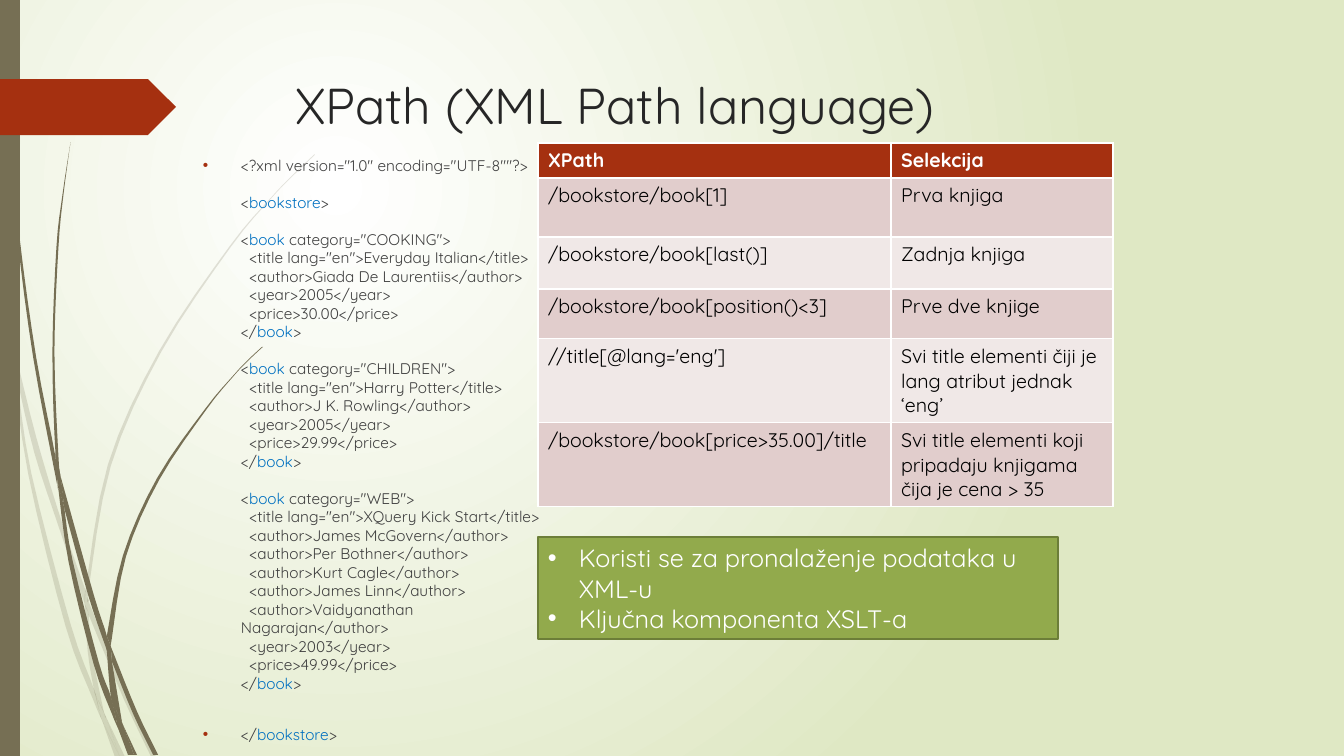
import copy
import pptx
import pptx.dml.color
import pptx.enum.shapes
import pptx.enum.text
import pptx.oxml
import pptx.oxml.ns
import pptx.util
from lxml import etree

PX = 12192000 / 1344  # EMU in one px
FONT = "Quicksand"
OLIVE, RUST, INK, BLUE, WHITE = "766F54", "A53010", "404040", "0070C0", "FFFFFF"
qn = pptx.oxml.ns.qn


def rgb(color):
    return pptx.dml.color.RGBColor.from_string(color)


def add_text(p, text, size=11, color=INK, bold=False):
    r = p.add_run()
    r.text = text
    r.font.name, r.font.size, r.font.bold = FONT, pptx.util.Pt(size), bold
    r.font.color.rgb = rgb(color)


prs = pptx.Presentation()
prs.slide_width, prs.slide_height = round(1344 * PX), round(756 * PX)
s = prs.slides.add_slide(prs.slide_layouts[5])

# Background: round gradient
fill = s.background.fill
fill.gradient()
for stop, color, position in zip(fill.gradient_stops, (WHITE, "DFE8C4"), (0, 1)):
    stop.color.rgb = rgb(color)
    stop.position = position
lin = s.background._cSld.find(".//" + qn("a:lin"))
circle = etree.Element(qn("a:path"), path="circle")
etree.SubElement(circle, qn("a:fillToRect"), l="50000", t="50000", r="100000", b="100000")
lin.getparent().replace(lin, circle)

# Grass: two smooth edges of each piece, in hundredths of an inch
GRASS = 1.008 * PX
pale = [
    ([(0, 282), (9, 322), (11, 350)], [(0, 299), (10, 344), (11, 350)]),
    ([(14, 345), (36, 434), (62, 520), (85, 586)], [(17, 376), (34, 449), (58, 522), (84, 599)]),
    ([(88, 596), (92, 607), (127, 692), (155, 751)], [(88, 610), (123, 694), (150, 751)]),
    ([(105, 711), (124, 751)], [(105, 711), (119, 751)]),
    ([(11, 350), (28, 470), (65, 621), (92, 693), (101, 714)],
     [(17, 376), (31, 469), (70, 619), (93, 683), (99, 707), (101, 714)]),
    ([(84, 599), (87, 646), (93, 683), (96, 692), (105, 711)],
     [(88, 608), (91, 646), (103, 706), (105, 711)]),
    ([(312, 153), (289, 175), (268, 197), (228, 244), (158, 348), (107, 461), (85, 584), (85, 586)],
     [(312, 154), (290, 175), (268, 198), (229, 245), (160, 349), (110, 462), (88, 584), (88, 596)]),
    ([(101, 714), (114, 751)], [(101, 714), (119, 751)]),
    ([(85, 586), (84, 599), (88, 608)], [(88, 596), (88, 610)]),
    ([(93, 683), (99, 707), (101, 714), (119, 751)], [(96, 692), (105, 711), (119, 751)]),
]
dark = [
    ([(3, 0), (4, 48), (7, 110), (17, 233), (33, 355), (56, 477), (57, 481)],
     [(4, 0), (5, 48), (8, 109), (19, 232), (36, 355), (55, 453), (57, 481)]),
    ([(60, 472), (93, 590), (106, 631), (106, 645)], [(64, 505), (88, 592), (106, 645)]),
    ([(110, 641), (113, 649), (136, 706), (157, 749)], [(111, 656), (132, 708), (152, 749)]),
    ([(57, 477), (68, 557), (93, 659), (111, 708), (117, 722)],
     [(64, 505), (72, 556), (98, 657), (110, 691), (117, 722)]),
    ([(70, 141), (62, 193), (56, 245), (52, 349), (55, 449), (60, 472)],
     [(70, 141), (63, 193), (58, 245), (54, 349), (58, 453), (60, 472)]),
    ([(122, 719), (136, 749)], [(122, 719), (133, 749)]),
    ([(55, 449), (60, 472), (64, 505)], [(55, 453), (57, 477), (64, 505)]),
    ([(260, 344), (245, 358), (231, 373), (204, 405), (156, 474), (122, 551), (106, 631)],
     [(261, 344), (245, 359), (231, 374), (205, 406), (158, 476), (125, 552), (111, 633),
      (110, 641)]),
    ([(117, 722), (127, 749)], [(117, 722), (131, 749)]),
    ([(106, 645), (110, 691), (116, 706), (122, 719)],
     [(109, 651), (111, 656), (121, 716), (122, 719)]),
    ([(106, 631), (106, 645), (111, 656)], [(110, 641), (111, 656)]),
    ([(110, 691), (116, 717), (117, 722), (130, 749)], [(116, 706), (122, 719), (133, 749)]),
]
for opacity, edges in [(20, e) for e in pale] + [(100, e) for e in dark]:
    outline = []
    for knots in (edges[0], edges[1][::-1]):
        ends = [knots[0], *knots, knots[-1]]
        for a, b, c, d in zip(ends, ends[1:], ends[2:], ends[3:]):
            for t in (0, 0.25, 0.5, 0.75):  # Catmull-Rom spline
                outline.append([
                    GRASS * (k1 + t * (k2 - k0) / 2 + t**2 * (k0 - 2.5 * k1 + 2 * k2 - k3 / 2)
                             + t**3 * (1.5 * (k1 - k2) + (k3 - k0) / 2))
                    for k0, k1, k2, k3 in zip(a, b, c, d)])
        outline.append([GRASS * k for k in knots[-1]])
    builder = s.shapes.build_freeform(*outline[0])
    builder.add_line_segments(outline[1:])
    sp = builder.convert_to_shape()
    sp.shadow.inherit = False
    sp.fill.solid()
    sp.fill.fore_color.rgb = rgb(OLIVE)
    sp.line.fill.background()
    if opacity < 100:
        clr = sp._element.spPr.find(".//" + qn("a:srgbClr"))
        etree.SubElement(clr, qn("a:alpha"), val=str(opacity * 1000))

# Side bar, arrow tag and note box
shape_types = pptx.enum.shapes.MSO_SHAPE
for kind, box, color, border in [
    (shape_types.RECTANGLE, (0, 0, 20, 756), OLIVE, None),
    (shape_types.PENTAGON, (0, 79, 176, 56), RUST, None),
    (shape_types.RECTANGLE, (538, 537, 520, 102), "92AA4C", "6C7E38"),
]:
    sp = s.shapes.add_shape(kind, *[round(v * PX) for v in box])
    sp.shadow.inherit = False
    sp.fill.solid()
    sp.fill.fore_color.rgb = rgb(color)
    if border:
        sp.line.color.rgb = rgb(border)
        sp.line.width = pptx.util.Pt(1.25)
    else:
        sp.line.fill.background()
note = sp.text_frame

# Title
title = s.shapes.title
title.left, title.top, title.width, title.height = [round(v * PX) for v in (285, 69, 983, 141)]
tf = title.text_frame
tf.vertical_anchor = pptx.enum.text.MSO_ANCHOR.TOP
tf.paragraphs[0].alignment = pptx.enum.text.PP_ALIGN.LEFT
add_text(tf.paragraphs[0], "XPath (XML Path language)", size=36, color="262626")

# XML listing, element names in blue
listing = """<?xml version="1.0" encoding="UTF-8""?>

<bookstore>

<book category="COOKING">
  <title lang="en">Everyday Italian</title>
  <author>Giada De Laurentiis</author>
  <year>2005</year>
  <price>30.00</price>
</book>

<book category="CHILDREN">
  <title lang="en">Harry Potter</title>
  <author>J K. Rowling</author>
  <year>2005</year>
  <price>29.99</price>
</book>

<book category="WEB">
  <title lang="en">XQuery Kick Start</title>
  <author>James McGovern</author>
  <author>Per Bothner</author>
  <author>Kurt Cagle</author>
  <author>James Linn</author>
  <author>Vaidyanathan Nagarajan</author>
  <year>2003</year>
  <price>49.99</price>
</book>
"""
sp = s.shapes.add_textbox(*[round(v * PX) for v in (193, 151, 361, 554)])
tf = sp.text_frame
tf.word_wrap = True
for p, code in ((tf.paragraphs[0], listing), (tf.add_paragraph(), "</bookstore>")):
    for i, line in enumerate(code.split("\n")):
        if i:
            p.add_line_break()
        tag = line.strip("</>").split(" ")[0]
        if tag in ("book", "bookstore"):
            before, tag, after = line.partition(tag)
            add_text(p, before)
            add_text(p, tag, color=BLUE)
            add_text(p, after)
        elif line:
            add_text(p, line)
    for br in p._p.findall(qn("a:br")):
        br.append(copy.deepcopy(p.runs[0]._r.rPr))
p.space_before = pptx.util.Pt(10)

# Note text
note.word_wrap = True
for p, text in ((note.paragraphs[0], "Koristi se za pronalaženje podataka u XML-u"),
                (note.add_paragraph(), "Ključna komponenta XSLT-a")):
    p.alignment = pptx.enum.text.PP_ALIGN.LEFT
    add_text(p, text, size=18, color=WHITE)

# Bullets of the listing and the note
for frame, indent, color in ((tf, 38, RUST), (note, 31, WHITE)):
    for p in frame.paragraphs:
        pPr = p._p.get_or_add_pPr()
        pPr.set("marL", str(round(indent * PX)))
        pPr.set("indent", str(-round(indent * PX)))
        etree.SubElement(etree.SubElement(pPr, qn("a:buClr")), qn("a:srgbClr"), val=color)
        etree.SubElement(pPr, qn("a:buFont"), typeface="Arial")
        etree.SubElement(pPr, qn("a:buChar"), char="•")

# Table of expressions
rows = [
    (35, "XPath", "Selekcija"),
    (59, "/bookstore/book[1]", "Prva knjiga"),
    (52, "/bookstore/book[last()]", "Zadnja knjiga"),
    (50, "/bookstore/book[position()<3]", "Prve dve knjige"),
    (84, "//title[@lang='eng']", "Svi title elementi čiji je lang atribut jednak ‘eng’"),
    (84, "/bookstore/book[price>35.00]/title",
     "Svi title elementi koji pripadaju knjigama čija je cena > 35"),
]
table = s.shapes.add_table(len(rows), 2, *[round(v * PX) for v in (538, 143, 575, 364)]).table
for column, width in zip(table.columns, (353, 222)):
    column.width = round(width * PX)
for i, (height, *texts) in enumerate(rows):
    table.rows[i].height = round(height * PX)
    for cell, text in zip(table.rows[i].cells, texts):
        cell.fill.solid()
        cell.fill.fore_color.rgb = rgb(("F0E8E7", "E1CDCC")[i % 2] if i else RUST)
        add_text(cell.text_frame.paragraphs[0], text, size=14,
                 color="000000" if i else WHITE, bold=i == 0)

prs.save("out.pptx")
